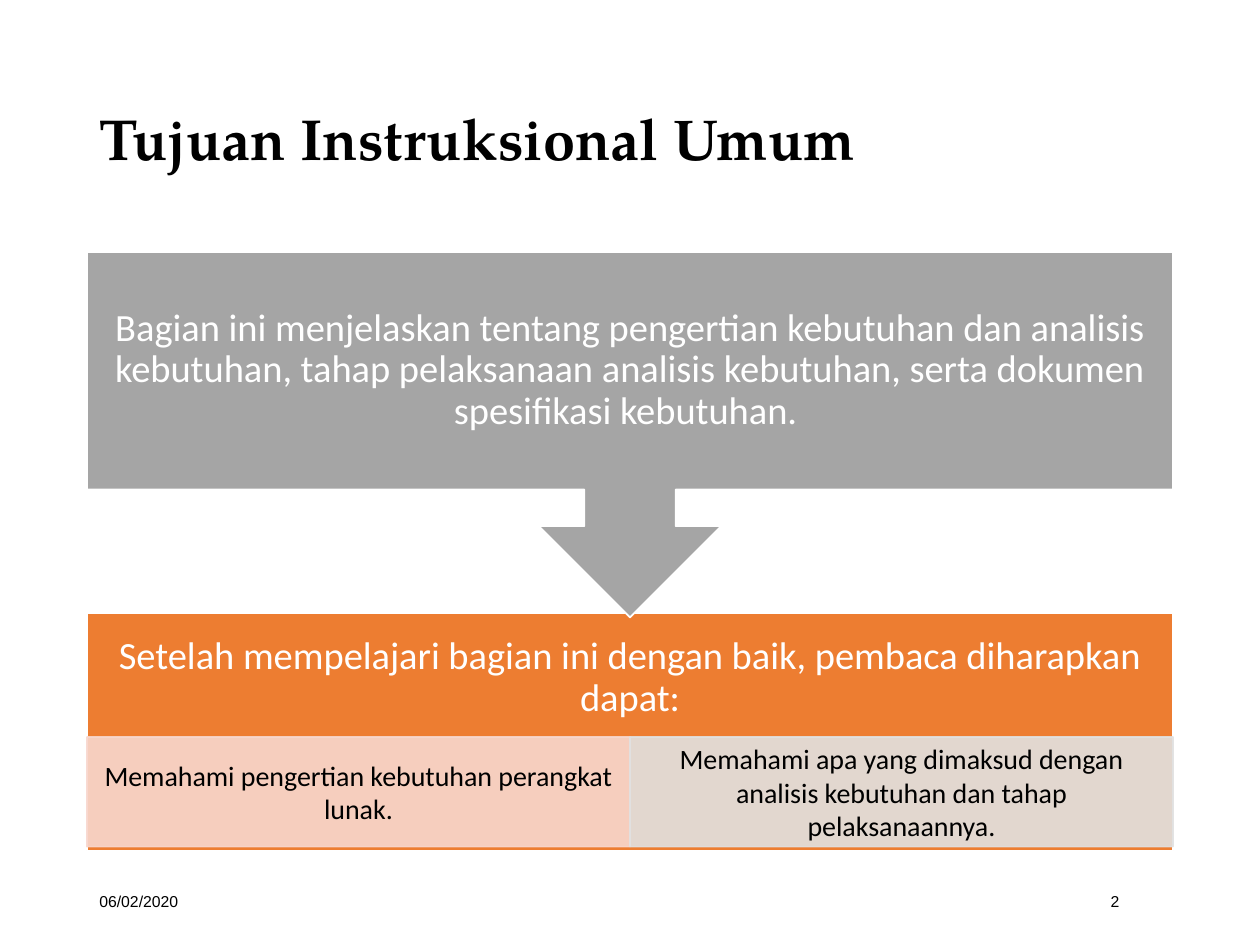
from pptx import Presentation
from pptx.dml.color import RGBColor
from pptx.enum.shapes import MSO_SHAPE as Shape
from pptx.enum.text import MSO_ANCHOR as Anchor, PP_ALIGN as Align
from pptx.oxml.ns import qn
from pptx.util import Inches, Pt
from lxml.etree import SubElement

WHITE = RGBColor(0xFF, 0xFF, 0xFF)
BLACK = RGBColor(0x00, 0x00, 0x00)
GREY = RGBColor(0xA5, 0xA5, 0xA5)
ORANGE = RGBColor(0xED, 0x7D, 0x31)
ROSE = RGBColor(0xF8, 0xD7, 0xCE)
SILVER = RGBColor(0xE1, 0xE1, 0xE1)

MARGIN, COLUMN, ROW = 0.69, 4.31, 0.05

TITLE = {"name": "TeX Gyre Pagella", "size": Pt(33), "bold": True}
FOOTER = {"name": "Arial", "size": Pt(9)}
HEADING = {"name": "Calibri", "size": Pt(22)}
DETAIL = {"name": "Calibri", "size": Pt(16)}


def set_all(target, values):
    for key, value in values.items():
        setattr(target, key, value)


class Page:
    def __init__(self, deck):
        self.slide = deck.slides.add_slide(deck.slide_layouts[6])

    def place(self, column, row, columns, rows):
        return (Inches(MARGIN + column * COLUMN), Inches(row * ROW),
                Inches(columns * COLUMN), Inches(rows * ROW))

    def label(self, shape, text, font, color=BLACK, align=Align.LEFT,
              spacing=1.0, inset=(0.1, 0.05)):
        side, edge = (Inches(length) for length in inset)
        frame = shape.text_frame
        set_all(frame, {"word_wrap": True, "vertical_anchor": Anchor.MIDDLE,
                        "margin_left": side, "margin_right": side,
                        "margin_top": edge, "margin_bottom": edge})
        paragraph = frame.paragraphs[0]
        set_all(paragraph, {"alignment": align, "line_spacing": spacing})
        run = paragraph.add_run()
        run.text = text
        set_all(run.font, font)
        run.font.color.rgb = color

    def text(self, area, text, font, **style):
        self.label(self.slide.shapes.add_textbox(*self.place(*area)), text, font, **style)

    def shape(self, kind, area, fill=None, line=None, opacity=100, rotation=0):
        shape = self.slide.shapes.add_shape(kind, *self.place(*area))
        shape.shadow.inherit = False
        shape.rotation = rotation
        for paint, color in ((shape.fill, fill), (shape.line.fill, line)):
            if color is None:
                paint.background()
                continue
            paint.solid()
            paint.fore_color.rgb = color
        if line is not None:
            shape.line.width = Pt(1)
        if opacity < 100:
            for tone in shape.element.spPr.iter(qn("a:srgbClr")):
                SubElement(tone, qn("a:alpha")).set("val", str(opacity * 1000))
        return shape


deck = Presentation()
set_all(deck, {"slide_width": Inches(10), "slide_height": Inches(7.5)})
page = Page(deck)
heading_style = {"color": WHITE, "align": Align.CENTER, "spacing": 0.9, "inset": (0.17, 0.17)}

page.text((0, 8, 2, 29), "Tujuan Instruksional Umum", TITLE, spacing=0.9)
page.text((0, 139, 0.52, 8), "06/02/2020", FOOTER)
page_number = page.shape(Shape.OVAL, (1.48, 139, 0.52, 8))
page.label(page_number, "2", FOOTER, align=Align.RIGHT)

page.shape(Shape.RECTANGLE, (0, 97.4, 2, 37.6), ORANGE, WHITE)
page.text((0, 97.4, 2, 20.4),
          "Setelah mempelajari bagian ini dengan baik, pembaca diharapkan dapat:",
          HEADING, **heading_style)

goals = (
    ("Memahami pengertian kebutuhan perangkat lunak.", ROSE),
    ("Memahami apa yang dimaksud dengan analisis kebutuhan dan tahap pelaksanaannya.", SILVER),
)
for column, (goal, tint) in enumerate(goals):
    goal_box = page.shape(Shape.RECTANGLE, (column, 117, 1, 17.4), tint, tint, opacity=90)
    page.label(goal_box, goal, DETAIL, align=Align.CENTER, inset=(0.12, 0.02))

page.shape(Shape.UP_ARROW_CALLOUT, (0, 40, 2, 58), GREY, WHITE, rotation=180)
page.text((0, 40, 2, 37.6),
          "Bagian ini menjelaskan tentang pengertian kebutuhan dan analisis kebutuhan, "
          "tahap pelaksanaan analisis kebutuhan, serta dokumen spesifikasi kebutuhan. ",
          HEADING, **heading_style)

deck.save("out.pptx")
